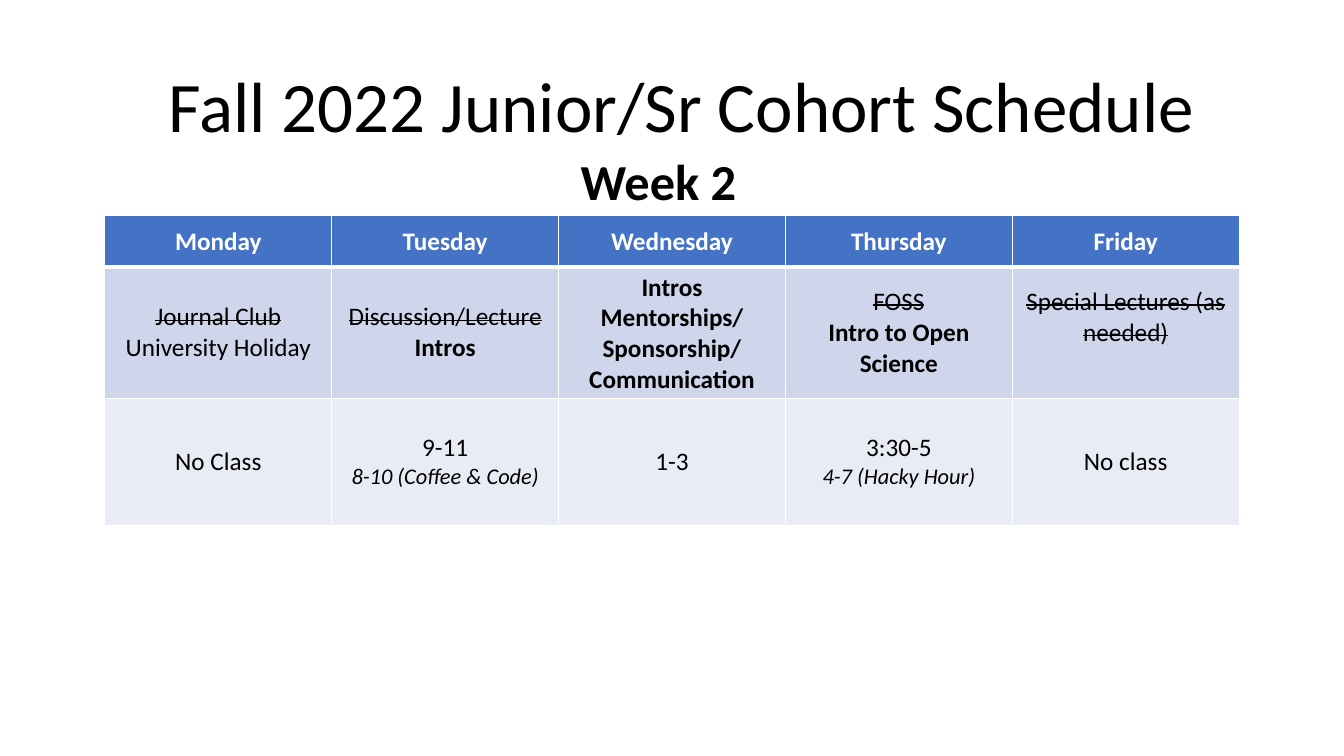
from lxml.etree import SubElement
from pptx import Presentation
from pptx.dml.color import RGBColor
from pptx.enum.text import MSO_ANCHOR as Anchor, PP_ALIGN as Align
from pptx.oxml.ns import qn
from pptx.util import Inches, Pt

WIDTH, HEIGHT = 13.33, 7.5
FONT = "Calibri"
BLACK, WHITE = "000000", "FFFFFF"
ROW_FILLS = ["4472C4", "CFD5EA", "E9EBF5"]
ROW_HEIGHTS = [0.51, 1.3, 1.26]
COLUMN_WIDTH = 2.25
TABLE_LEFT, TABLE_TOP = 1.04, 2.14
LINE_HEIGHT = 0.31

TITLE = "Fall 2022 Junior/Sr Cohort Schedule"
WEEK = "Week 2"
DAYS = ["Monday", "Tuesday", "Wednesday", "Thursday", "Friday"]
PLAIN, BOLD = {}, {"bold": True}
STRUCK = {"strike": True}
EXTRA = {"size": 16, "italic": True}
TOPICS = [
    [("Journal Club", STRUCK), ("University Holiday", PLAIN)],
    [("Discussion/Lecture", STRUCK), ("Intros", BOLD)],
    [("Intros", BOLD), ("Mentorships/", BOLD), ("Sponsorship/", BOLD), ("Communication", BOLD)],
    [("FOSS", STRUCK), ("Intro to Open Science", BOLD)],
    [("Special Lectures (as needed)", STRUCK)],
]
TIMES = [
    [("No Class", PLAIN)],
    [("9-11", PLAIN), ("8-10 (Coffee & Code)", EXTRA)],
    [("1-3", PLAIN)],
    [("3:30-5", PLAIN), ("4-7 (Hacky Hour)", EXTRA)],
    [("No class", PLAIN)],
]
HEADER = [[(day, {"bold": True, "color": WHITE})] for day in DAYS]
ROWS = [HEADER, TOPICS, TIMES]


def rgb(value):
    return RGBColor.from_string(value)


def write(paragraph, text, size=18, color=BLACK, bold=False, italic=False,
          strike=False, align=Align.LEFT, spacing=None):
    paragraph.alignment = align
    if spacing:
        paragraph.line_spacing = spacing
    run = paragraph.add_run()
    run.text = text
    font = run.font
    font.name, font.size, font.bold, font.italic = FONT, Pt(size), bold, italic
    font.color.rgb = rgb(color)
    if strike:
        run._r.get_or_add_rPr().set("strike", "sngStrike")


def add_text(slide, box, text, margin=None, wrap=True, **style):
    shape = slide.shapes.add_textbox(*map(Inches, box))
    frame = shape.text_frame
    frame.word_wrap = wrap
    frame.vertical_anchor = Anchor.MIDDLE
    if margin is not None:
        frame.margin_left = frame.margin_right = Inches(margin)
        frame.margin_top = frame.margin_bottom = Inches(margin)
    write(frame.paragraphs[0], text, **style)


def add_borders(cell, top, bottom):
    properties = cell._tc.get_or_add_tcPr()
    for side, width in {"L": 1, "R": 1, "T": top, "B": bottom}.items():
        line = SubElement(properties, qn(f"a:ln{side}"), w=str(Pt(width)))
        fill = SubElement(line, qn("a:solidFill"))
        SubElement(fill, qn("a:srgbClr"), val=WHITE)


def fill_cell(cell, lines, fill, top, bottom):
    add_borders(cell, top, bottom)
    cell.fill.solid()
    cell.fill.fore_color.rgb = rgb(fill)
    cell.vertical_anchor = Anchor.MIDDLE
    frame = cell.text_frame
    for index, (text, style) in enumerate(lines):
        paragraph = frame.add_paragraph() if index else frame.paragraphs[0]
        write(paragraph, text, align=Align.CENTER, **style)


def add_schedule(slide):
    table = slide.shapes.add_table(
        len(ROWS), len(DAYS), Inches(TABLE_LEFT), Inches(TABLE_TOP),
        Inches(COLUMN_WIDTH * len(DAYS)), Inches(sum(ROW_HEIGHTS))).table
    table.horz_banding = False
    for column in table.columns:
        column.width = Inches(COLUMN_WIDTH)
    for index, (cells, height, fill) in enumerate(zip(ROWS, ROW_HEIGHTS, ROW_FILLS)):
        table.rows[index].height = Inches(height)
        top, bottom = (3 if index == 1 else 1), (3 if index == 0 else 1)
        for day, lines in enumerate(cells):
            fill_cell(table.cell(index, day), lines, fill, top, bottom)
    table.cell(1, DAYS.index("Friday")).margin_bottom = Inches(0.05 + LINE_HEIGHT)


def main():
    """Build the weekly cohort schedule slide."""
    presentation = Presentation()
    presentation.slide_width, presentation.slide_height = Inches(WIDTH), Inches(HEIGHT)
    slide = presentation.slides.add_slide(presentation.slide_layouts[6])
    add_text(slide, (1.63, 0.67, 11.6, 0.84), TITLE, margin=0.04, size=50.7, spacing=0.9)
    add_schedule(slide)
    add_text(slide, (5.66, 1.43, 1.76, 0.71), WEEK, wrap=False, size=36, bold=True)
    presentation.save("out.pptx")


if __name__ == "__main__":
    main()
